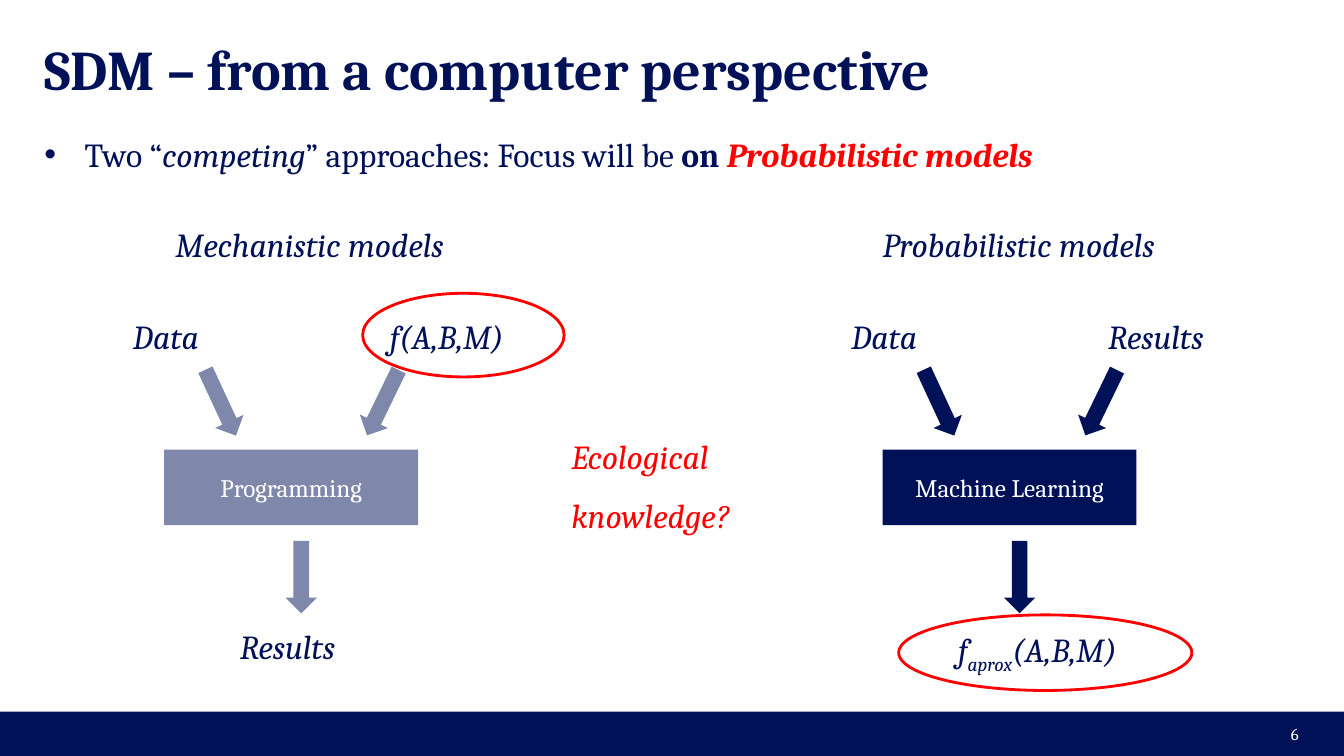
import pptx
import pptx.util
import pptx.dml.color
import pptx.enum.shapes
import pptx.enum.text
from lxml import etree

Inches = pptx.util.Inches
Pt = pptx.util.Pt
RGBColor = pptx.dml.color.RGBColor
MSO_SHAPE = pptx.enum.shapes.MSO_SHAPE
MSO_ANCHOR = pptx.enum.text.MSO_ANCHOR
PP_ALIGN = pptx.enum.text.PP_ALIGN

NAVY = RGBColor(0x00, 0x11, 0x58)
RED = RGBColor(0xFF, 0x00, 0x00)
WHITE = RGBColor(0xFF, 0xFF, 0xFF)
FONT = "Cambria"
DRAWING_NS = "http://schemas.openxmlformats.org/drawingml/2006/main"

TITLE = "SDM – from a computer perspective"
PAGE_NUMBER = "6"
APPROACHES = [
    ("Two “", {}),
    ("competing", {"italic": True}),
    ("” approaches: Focus will be ", {}),
    ("on ", {"bold": True}),
    ("Probabilistic models", {"bold": True, "italic": True, "color": RED}),
]
QUESTION = ["Ecological", "knowledge?"]
MODELS = [
    {
        "heading": ("Mechanistic models", 1.74),
        "process": "Programming",
        "inputs": ["Data", "f(A,B,M)"],
        "output": ([("Results", {})], 2.38, 1.22),
        "opacity": 50,
    },
    {
        "heading": ("Probabilistic models", 8.76),
        "process": "Machine Learning",
        "inputs": ["Data", "Results"],
        "output": ([("f", {}), ("aprox", {"baseline": -25}), ("(A,B,M)", {})], 9.51, 1.97),
        "opacity": 100,
    },
]
MODEL_STEP = 7.13
INPUT_PLACES = [(1.32, 1.22), (3.87, 1.59)]
ARROWS = [(1.83, 3.84, 65.1), (3.44, 3.84, 115.9), (2.63, 5.57, 90)]
HIGHLIGHTS = [(8.92, 6.1, 2.91, 0.75), (3.6, 2.91, 2, 0.83)]


def set_font(paragraph, size, color, bold=None, italic=None):
    font = paragraph.font
    font.name = FONT
    font.size = Pt(size)
    font.color.rgb = color
    font.bold = bold
    font.italic = italic


def add_runs(paragraph, pieces):
    for words, style in pieces:
        run = paragraph.add_run()
        run.text = words
        if "bold" in style:
            run.font.bold = style["bold"]
        if "italic" in style:
            run.font.italic = style["italic"]
        if "color" in style:
            run.font.color.rgb = style["color"]
        if "baseline" in style:
            run.font._element.set("baseline", str(style["baseline"] * 1000))


def clear_margins(frame):
    frame.margin_left = frame.margin_right = 0
    frame.margin_top = frame.margin_bottom = 0


def add_bullet(paragraph):
    properties = paragraph._p.get_or_add_pPr()
    properties.set("marL", str(Inches(0.4)))
    properties.set("indent", str(-Inches(0.4)))
    bullet_color = etree.SubElement(properties, f"{{{DRAWING_NS}}}buClr")
    etree.SubElement(bullet_color, f"{{{DRAWING_NS}}}srgbClr", val=str(NAVY))
    etree.SubElement(properties, f"{{{DRAWING_NS}}}buFont", typeface="Arial")
    etree.SubElement(properties, f"{{{DRAWING_NS}}}buChar", char="•")


def add_label(slide, place, lines, color=NAVY, italic=True, bullet=False):
    frame = slide.shapes.add_textbox(*map(Inches, place)).text_frame
    frame.word_wrap = True
    clear_margins(frame)
    for index, pieces in enumerate(lines):
        paragraph = frame.paragraphs[0] if index == 0 else frame.add_paragraph()
        if bullet:
            add_bullet(paragraph)
        paragraph.line_spacing = 0.9
        paragraph.space_before = Pt(8 if index else 0)
        paragraph.space_after = Pt(8)
        add_runs(paragraph, pieces)
        set_font(paragraph, 24, color, italic=italic)


def add_filled(slide, kind, place, opacity=100):
    shape = slide.shapes.add_shape(kind, *map(Inches, place))
    shape.shadow.inherit = False
    shape.fill.solid()
    shape.fill.fore_color.rgb = NAVY
    shape.line.fill.background()
    if opacity < 100:
        color = shape._element.spPr.find(f".//{{{DRAWING_NS}}}srgbClr")
        etree.SubElement(color, f"{{{DRAWING_NS}}}alpha", val=str(opacity * 1000))
    return shape


def add_model(slide, model, shift):
    words, left = model["heading"]
    add_label(slide, (left, 2.27, 3.07, 0.57), [[(words, {})]])

    process = add_filled(slide, MSO_SHAPE.RECTANGLE, (1.63 + shift, 4.46, 2.52, 0.75), model["opacity"])
    process.text_frame.vertical_anchor = MSO_ANCHOR.MIDDLE
    paragraph = process.text_frame.paragraphs[0]
    paragraph.text = model["process"]
    paragraph.alignment = PP_ALIGN.CENTER
    set_font(paragraph, 18, WHITE)

    for words, (left, width) in zip(model["inputs"], INPUT_PLACES):
        add_label(slide, (left + shift, 3.18, width, 0.57), [[(words, {})]])
    pieces, left, width = model["output"]
    add_label(slide, (left, 6.25, width, 0.57), [pieces])

    for left, top, angle in ARROWS:
        arrow = add_filled(slide, MSO_SHAPE.RIGHT_ARROW, (left + shift, top, 0.72, 0.31), model["opacity"])
        arrow.rotation = angle


def main():
    deck = pptx.Presentation()
    deck.slide_width = Inches(13.34)
    deck.slide_height = Inches(7.5)
    slide = deck.slides.add_slide(deck.slide_layouts[5])

    add_filled(slide, MSO_SHAPE.RECTANGLE, (0, 7.06, 13.34, 0.44))

    title = slide.shapes.title
    title.left, title.top, title.width, title.height = map(Inches, (0.44, 0.44, 12.46, 0.47))
    title.text_frame.text = TITLE
    title.text_frame.vertical_anchor = MSO_ANCHOR.MIDDLE
    clear_margins(title.text_frame)
    heading = title.text_frame.paragraphs[0]
    heading.alignment = PP_ALIGN.LEFT
    set_font(heading, 40, NAVY, bold=True)

    add_label(slide, (0.44, 1.37, 11.11, 0.57), [APPROACHES], italic=None, bullet=True)

    page_frame = slide.shapes.add_textbox(*map(Inches, (9.99, 7.08, 3, 0.4))).text_frame
    page_frame.word_wrap = True
    page_frame.vertical_anchor = MSO_ANCHOR.MIDDLE
    page = page_frame.paragraphs[0]
    page.text = PAGE_NUMBER
    page.alignment = PP_ALIGN.RIGHT
    set_font(page, 12, WHITE)

    for index, model in enumerate(MODELS):
        add_model(slide, model, index * MODEL_STEP)

    for place in HIGHLIGHTS:
        ring = slide.shapes.add_shape(MSO_SHAPE.OVAL, *map(Inches, place))
        ring.shadow.inherit = False
        ring.fill.background()
        ring.line.color.rgb = RED
        ring.line.width = Pt(2)

    add_label(slide, (5.67, 4.37, 2.52, 1.15), [[(line, {})] for line in QUESTION], color=RED)
    deck.save("out.pptx")


if __name__ == "__main__":
    main()
